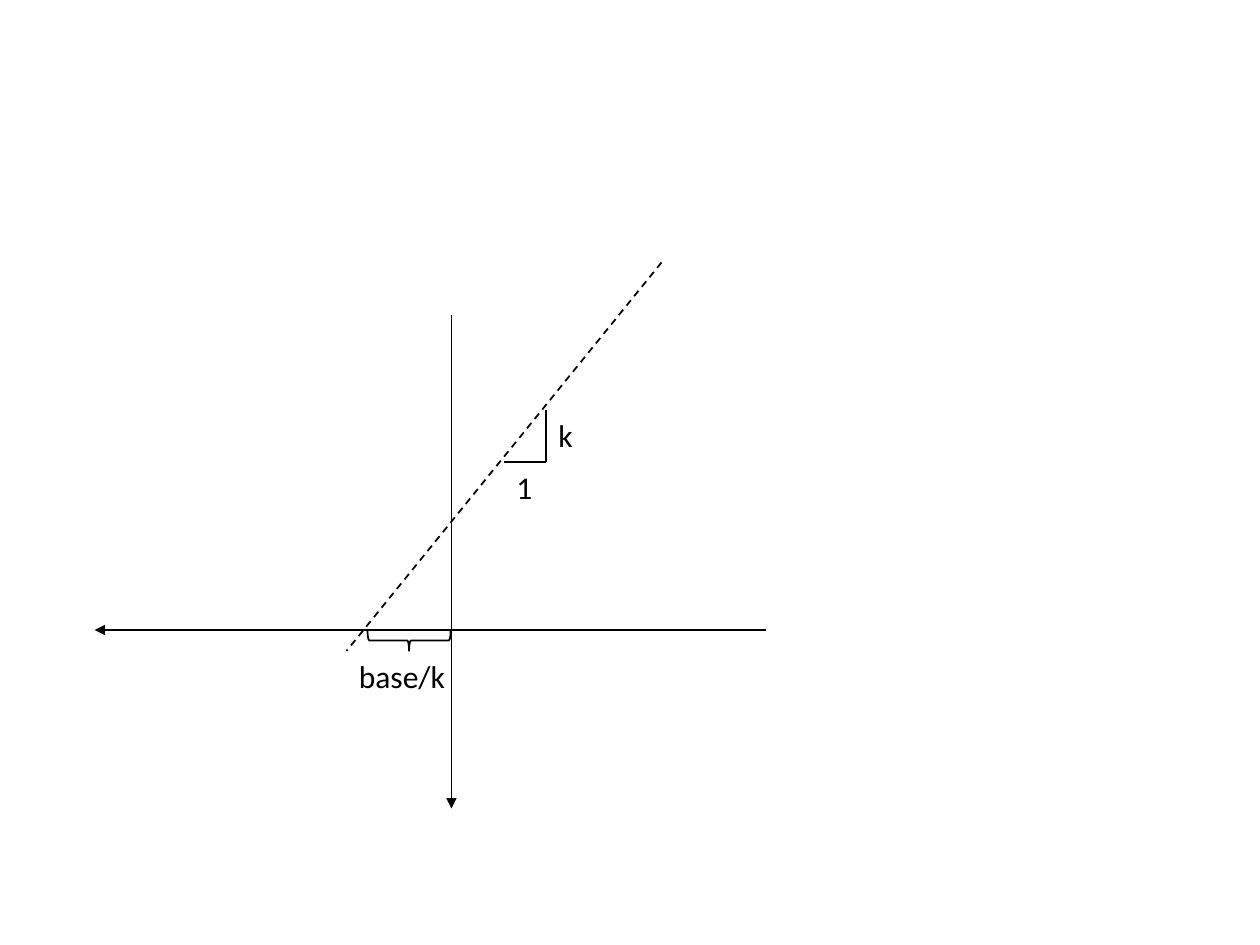
from pptx import Presentation
from pptx import util as u
from pptx.dml.color import RGBColor
from pptx.enum import dml, shapes, text
from pptx.oxml.ns import qn
from lxml import etree

Pt = u.Pt
BLACK = RGBColor(0, 0, 0)


def add_line(s, x1, y1, x2, y2, arrow=False, dashed=False):
    """Draw a thin black line, optionally dashed or with an arrowhead at its end."""
    c = s.shapes.add_connector(shapes.MSO_CONNECTOR.STRAIGHT, Pt(x1), Pt(y1), Pt(x2), Pt(y2))
    c.line.color.rgb = BLACK
    c.line.width = Pt(1)
    if dashed:
        c.line.dash_style = dml.MSO_LINE.DASH
    sp_pr = c.line._get_or_add_ln().getparent()
    if arrow:
        etree.SubElement(c.line._get_or_add_ln(), qn("a:tailEnd"), type="triangle")
    etree.SubElement(sp_pr, qn("a:effectLst"))


def add_label(s, label, x, y, w):
    """Write a one-line label with its box corner at x, y."""
    tf = s.shapes.add_textbox(Pt(x), Pt(y), Pt(w), Pt(29)).text_frame
    tf.word_wrap = False
    tf.auto_size = text.MSO_AUTO_SIZE.SHAPE_TO_FIT_TEXT
    r = tf.paragraphs[0].add_run()
    r.text = label
    r.font.name = "Calibri"
    r.font.size = Pt(18)
    r.font.color.rgb = BLACK


def add_brace(s, x, y, length, depth):
    """Draw a brace opening upward that hangs below the span starting at x, y."""
    sp = s.shapes.add_shape(
        shapes.MSO_SHAPE.RIGHT_BRACE,
        Pt(x + (length - depth) / 2), Pt(y + (depth - length) / 2), Pt(depth), Pt(length))
    sp.rotation = 90
    sp.shadow.inherit = False
    sp.fill.background()
    sp.line.color.rgb = BLACK
    sp.line.width = Pt(1)


def add_axes(s, x, y, w, h):
    """Draw the two axes, pointing left and down, inside the box."""
    add_line(s, x + 204, y + 30, x + 204, y + h, arrow=True)
    add_line(s, x + w, y + 210, x, y + 210, arrow=True)


def add_slope_mark(s, x, y, w, h):
    """Draw the slope step in the box and label its run and rise."""
    add_line(s, x, y + h, x + w, y + h)
    add_line(s, x + w, y + h, x + w, y)
    add_label(s, "1", x, y + h, 24)
    add_label(s, "k", x + w, y, 23)


def add_diagram(s, x, y, w, h):
    """Draw the axes, the sloped line and its annotations inside the box."""
    add_axes(s, x, y, w, h)
    add_line(s, x + 324, y, x + 144, y + 222, dashed=True)
    add_label(s, "base/k", x + 144, y + 222, 64)
    add_brace(s, x + 156, y + 210, 47.5, 12)
    add_slope_mark(s, x + 234, y + 84, 24, 30)


def main():
    """Build the slide and save it."""
    prs = Presentation()
    prs.slide_width, prs.slide_height = Pt(720), Pt(540)
    s = prs.slides.add_slide(prs.slide_layouts[6])
    add_diagram(s, 54, 150, 384, 312)
    prs.save("out.pptx")


if __name__ == "__main__":
    main()
